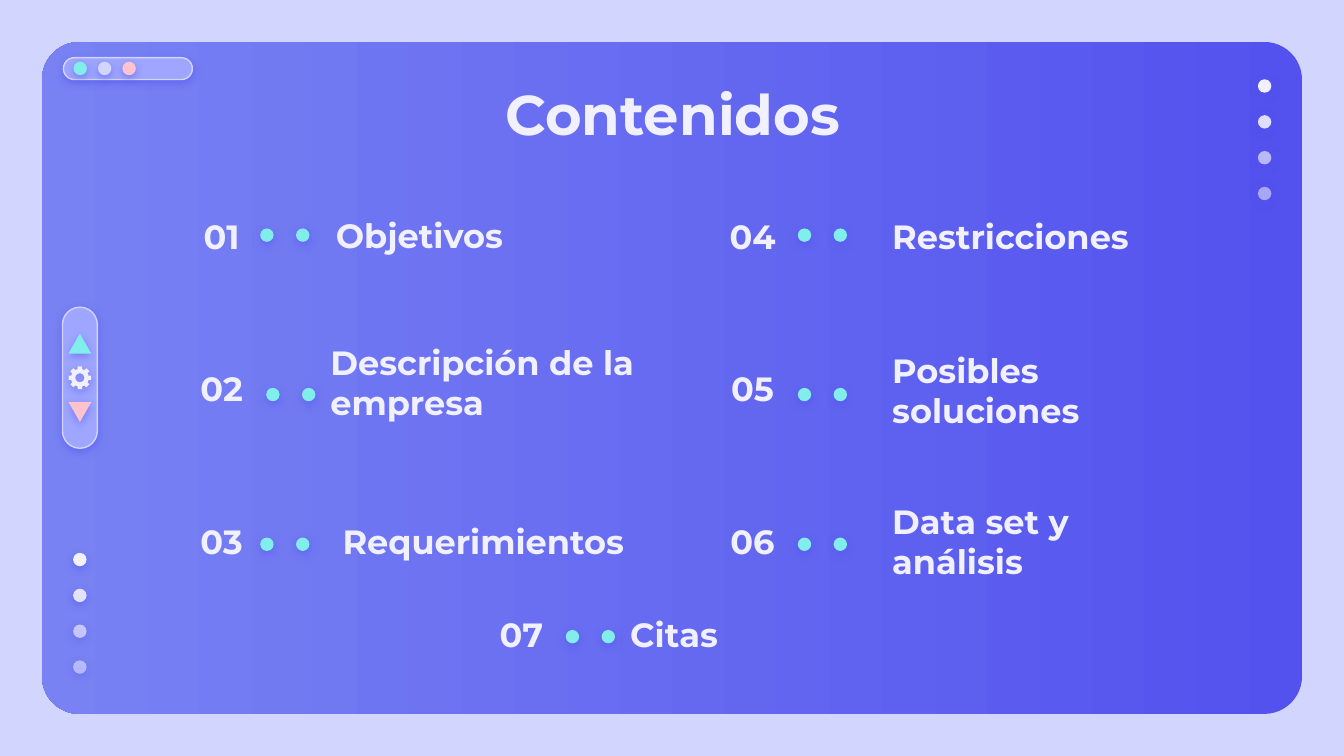
from math import cos, radians, sin

from lxml import etree
from pptx import Presentation
from pptx.dml.color import RGBColor
from pptx.enum.shapes import MSO_SHAPE
from pptx.enum.text import MSO_ANCHOR, MSO_AUTO_SIZE, PP_ALIGN
from pptx.oxml.ns import qn
from pptx.util import Pt

ELLIPSE, ROUNDED = MSO_SHAPE.OVAL, MSO_SHAPE.ROUNDED_RECTANGLE
TRIANGLE = MSO_SHAPE.ISOSCELES_TRIANGLE
TOP, MIDDLE = MSO_ANCHOR.TOP, MSO_ANCHOR.MIDDLE
LEFT, CENTER = PP_ALIGN.LEFT, PP_ALIGN.CENTER

FONT = "Montserrat"
LAVENDER, LILAC, WHITE = "D2D6FF", "9EA6FF", "F1F0FF"
AQUA, PINK, INDIGO, PERIWINKLE = "81EEEB", "FFC3D0", "5352EE", "7882F3"

# Content: number, label, number left, number top, first dot, label box
TITLE = "Contenidos"
LABEL_SIZE = (181.4, 19.4)
ENTRIES = [
    ("01", "Objetivos", (84.2, 116.6), (139.4, 122.4), (172.8, 108), (236.2, 36)),
    ("02", "Descripción de la empresa", (84.2, 198), (142.6, 207.8), (169.9, 195.1), LABEL_SIZE),
    ("03", "Requerimientos", (84.2, 280.1), (139.4, 288), (176.4, 280.1), LABEL_SIZE),
    ("04", "Restricciones", (368.6, 116.6), (427.4, 122.4), (470.9, 116.6), LABEL_SIZE),
    ("05", "Posibles soluciones", (368.6, 198), (427.4, 207.8), (470.9, 199.4), LABEL_SIZE),
    ("06", "Data set y análisis", (368.6, 280.1), (427.4, 288), (470.9, 280.1), LABEL_SIZE),
    ("07", "Citas", (244.8, 329.8), (303.1, 337.5), (330.5, 329.8), LABEL_SIZE),
]
NUMBER_SIZE = (69.1, 19.4)
DOT, DOT_STEP = 7.2, 19.2
FADING = (100, 89, 66, 54)


def color(hex_value):
    return RGBColor.from_string(hex_value)


def set_alpha(color_element, percent):
    etree.SubElement(color_element, qn("a:alpha"), val=str(percent * 1000))


def style(shape, fill, line=None, opacity=100):
    """Flat fill, optional outline and the soft indigo shadow below."""
    shape.fill.solid()
    shape.fill.fore_color.rgb = color(fill)
    if opacity < 100:
        set_alpha(shape.element.spPr.find(".//" + qn("a:srgbClr")), opacity)
    if line:
        shape.line.color.rgb = color(line)
        shape.line.width = Pt(0.75)
    else:
        shape.line.fill.background()
    shape.shadow.inherit = False
    effects = shape.element.spPr.find(qn("a:effectLst"))
    shadow = etree.SubElement(
        effects, qn("a:outerShdw"), blurRad=str(Pt(4.5)), dist=str(Pt(1.5)),
        dir="5400000", algn="bl", rotWithShape="0")
    set_alpha(etree.SubElement(shadow, qn("a:srgbClr"), val=INDIGO), 50)


def add_shape(kind, left, top, width, height, fill, line=None, opacity=100):
    shape = slide.shapes.add_shape(kind, Pt(left), Pt(top), Pt(width), Pt(height))
    style(shape, fill, line, opacity)
    return shape


def add_dot(left, top, fill, opacity=100):
    add_shape(ELLIPSE, left, top, DOT, DOT, fill, opacity=opacity)


def write(shape, text, size, align, anchor):
    frame = shape.text_frame
    frame.text = text
    frame.word_wrap = True
    frame.auto_size = MSO_AUTO_SIZE.NONE
    frame.vertical_anchor = anchor
    frame.margin_left = frame.margin_right = Pt(7.2)
    frame.margin_top = frame.margin_bottom = Pt(7.2)
    paragraph = frame.paragraphs[0]
    paragraph.alignment = align
    font = paragraph.runs[0].font
    font.name, font.size, font.bold = FONT, Pt(size), True
    font.color.rgb = color(WHITE)


def add_text(text, position, size, align):
    box = slide.shapes.add_textbox(*map(Pt, position + size))
    write(box, text, 18, align, MIDDLE)


def add_gear(center_x, center_y, outer, root, hole, teeth=8):
    def point(radius, angle):
        return (Pt(center_x + radius * cos(radians(angle))),
                Pt(center_y + radius * sin(radians(angle))))

    rim = [point(radius, 360 / teeth * tooth + offset)
           for tooth in range(teeth)
           for radius, offset in ((root, -14), (outer, -11), (outer, 11), (root, 14))]
    ring = [point(hole, -angle) for angle in range(0, 360, 15)]
    builder = slide.shapes.build_freeform(*rim[0])
    builder.add_line_segments(rim[1:], close=True)
    builder.move_to(*ring[0])
    builder.add_line_segments(ring[1:], close=True)
    style(builder.convert_to_shape(), WHITE)


presentation = Presentation()
presentation.slide_width, presentation.slide_height = Pt(720), Pt(405)
slide = presentation.slides.add_slide(presentation.slide_layouts[5])
slide.background.fill.solid()
slide.background.fill.fore_color.rgb = color(LAVENDER)

# Gradient panel
panel = slide.shapes.add_shape(ROUNDED, Pt(22.5), Pt(22.5), Pt(675), Pt(360))
panel.adjustments[0] = 0.056
panel.fill.gradient()
panel.fill.gradient_angle = 180
for stop, hex_value in zip(panel.fill.gradient_stops, (INDIGO, PERIWINKLE)):
    stop.color.rgb = color(hex_value)
panel.line.fill.background()
panel.shadow.inherit = False

# Window bar with three buttons
bar = add_shape(ROUNDED, 34, 30.9, 69.1, 11.7, LILAC, LAVENDER)
bar.adjustments[0] = 0.5
for index, fill in enumerate((AQUA, LAVENDER, PINK)):
    add_dot(39.4 + 13.1 * index, 33.1, fill)

# Fading dot columns
for left, top in ((673.9, 42.5), (39.2, 296.2)):
    for index, opacity in enumerate(FADING):
        add_dot(left, top + DOT_STEP * index, WHITE, opacity)

# Side toolbar
toolbar = add_shape(ROUNDED, 5, 193, 75.6, 18.7, LILAC, LAVENDER)
toolbar.adjustments[0] = 0.5
toolbar.rotation = 90
add_shape(TRIANGLE, 36.7, 178.8, 12.2, 10.6, AQUA)
add_shape(TRIANGLE, 36.7, 215.4, 12.2, 10.6, PINK).rotation = 180
add_gear(42.8, 202.4, 6.2, 4.8, 2.4)

# Title
title = slide.shapes.title
title.left, title.top, title.width, title.height = Pt(56.9), Pt(35.3), Pt(607), Pt(45.4)
write(title, TITLE, 30, CENTER, TOP)
title.element.getparent().append(title.element)

# Numbered entries
for number, label, number_at, (dot_left, dot_top), label_at, label_size in ENTRIES:
    add_text(number, number_at, NUMBER_SIZE, CENTER)
    for index in range(2):
        add_dot(dot_left + DOT_STEP * index, dot_top, AQUA)
    add_text(label, label_at, label_size, LEFT)

presentation.save("out.pptx")
